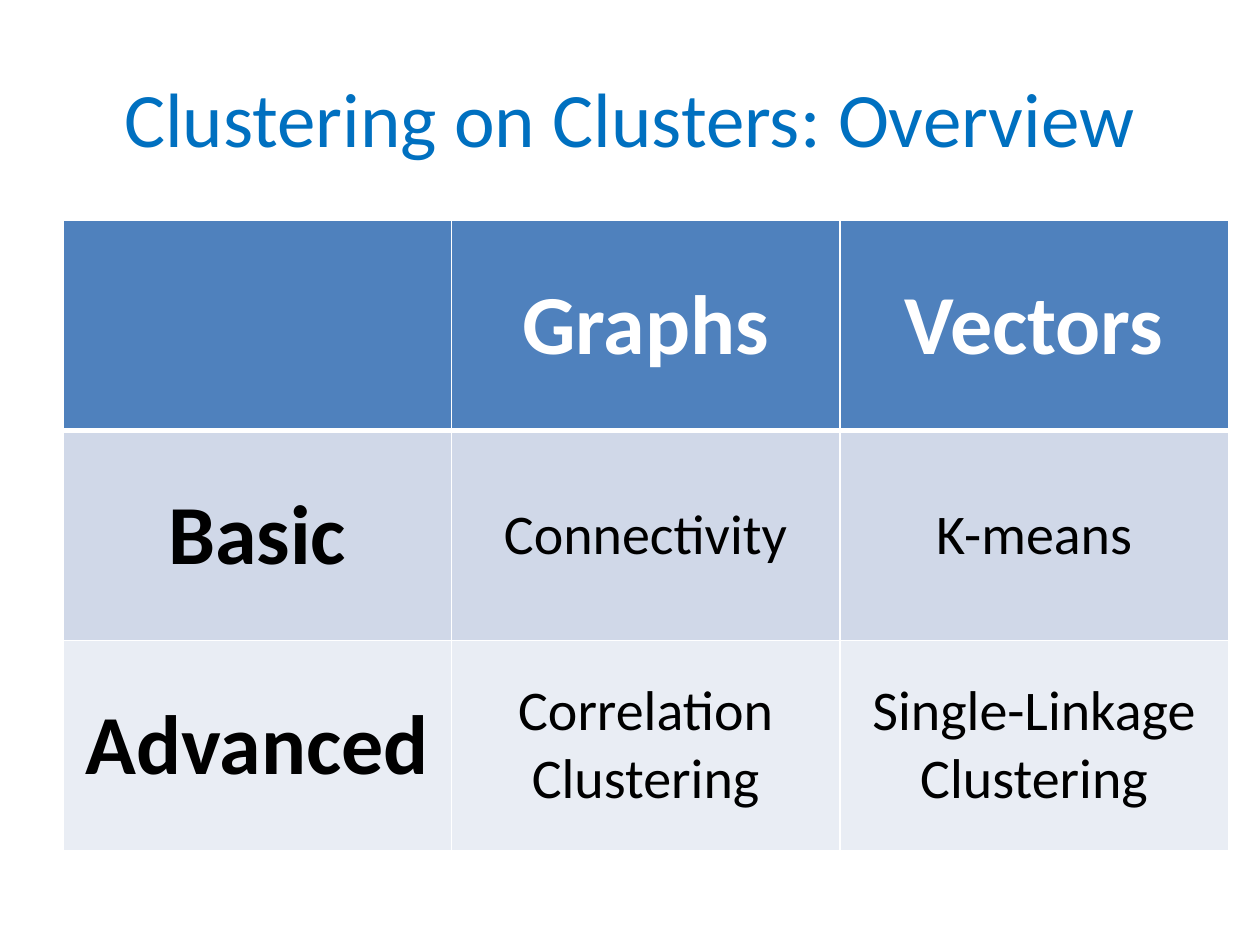
import pptx
import pptx.dml.color
import pptx.enum.text
import pptx.oxml
import pptx.oxml.ns
import pptx.util

Inches = pptx.util.Inches
Pt = pptx.util.Pt
RGBColor = pptx.dml.color.RGBColor
ALIGN = pptx.enum.text.PP_ALIGN
ANCHOR = pptx.enum.text.MSO_ANCHOR

BLUE = RGBColor(0x00, 0x70, 0xC0)
HEAD = RGBColor(0x4F, 0x81, 0xBD)
BANDS = [RGBColor(0xD0, 0xD8, 0xE8), RGBColor(0xE9, 0xED, 0xF4)]
WHITE = RGBColor(0xFF, 0xFF, 0xFF)
BLACK = RGBColor(0x00, 0x00, 0x00)

ROWS = [
    ["", "Graphs", "Vectors"],
    ["Basic", "Connectivity", "K-means"],
    ["Advanced", "Correlation Clustering", "Single-Linkage Clustering"],
]
TITLE = {"name": "Calibri", "size": Pt(44), "bold": False}
LABEL = {"name": "Calibri", "size": Pt(48), "bold": True}
ENTRY = {"name": "Calibri", "size": Pt(32), "bold": False}


def put_text(frame, text, form, color):
    """Write one centred paragraph in the given format."""
    para = frame.paragraphs[0]
    para.alignment = ALIGN.CENTER
    if text:
        run = para.add_run()
        run.text = text
        for key, value in form.items():
            setattr(run.font, key, value)
        run.font.color.rgb = color


def add_edge(cell, side, width):
    """Draw one white cell border."""
    cell._tc.get_or_add_tcPr().append(pptx.oxml.parse_xml(
        f'<a:{side} {pptx.oxml.ns.nsdecls("a")} w="{Pt(width)}">'
        f'<a:solidFill><a:srgbClr val="{WHITE}"/></a:solidFill></a:{side}>'))


def add_title(slide, text):
    title = slide.shapes.title
    place = {"left": 0.5, "top": 0.3, "width": 9, "height": 1.25}
    for key, value in place.items():
        setattr(title, key, Inches(value))
    title.text_frame.vertical_anchor = ANCHOR.MIDDLE
    put_text(title.text_frame, text, TITLE, BLUE)


def add_grid(slide, rows):
    table = slide.shapes.add_table(
        len(rows), len(rows[0]),
        Inches(0.5), Inches(1.75), Inches(9.25), Inches(5)).table
    for r, row in enumerate(rows):
        for c, text in enumerate(row):
            cell = table.cell(r, c)
            cell.vertical_anchor = ANCHOR.MIDDLE
            # The rule below the header is thicker than the others
            edges = {"lnL": 1, "lnR": 1,
                     "lnT": 3 if r == 1 else 1, "lnB": 3 if r == 0 else 1}
            for side, width in edges.items():
                add_edge(cell, side, width)
            cell.fill.solid()
            cell.fill.fore_color.rgb = BANDS[(r - 1) % 2] if r else HEAD
            form = LABEL if r == 0 or c == 0 else ENTRY
            put_text(cell.text_frame, text, form, BLACK if r else WHITE)


def main():
    deck = pptx.Presentation()
    deck.slide_width, deck.slide_height = Inches(10), Inches(7.5)
    slide = deck.slides.add_slide(deck.slide_layouts[5])
    add_title(slide, "Clustering on Clusters: Overview")
    add_grid(slide, ROWS)
    deck.save("out.pptx")


if __name__ == "__main__":
    main()
